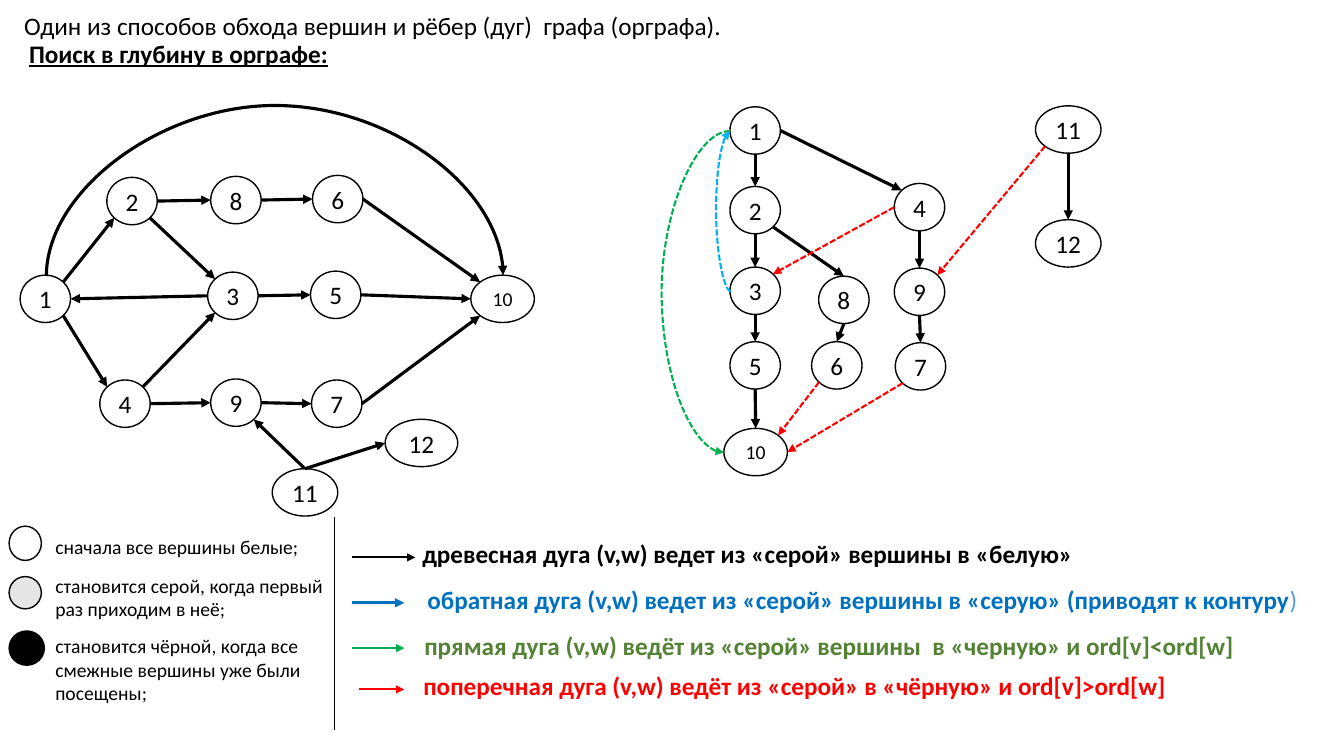
from math import cos, pi, sin

from lxml.etree import SubElement
from pptx import Presentation
from pptx.dml.color import RGBColor
from pptx.enum.dml import MSO_LINE
from pptx.enum.shapes import MSO_CONNECTOR, MSO_SHAPE
from pptx.enum.text import MSO_ANCHOR, MSO_AUTO_SIZE, PP_ALIGN
from pptx.oxml.ns import qn
from pptx.util import Inches, Pt

BLACK = RGBColor(0x00, 0x00, 0x00)
WHITE = RGBColor(0xFF, 0xFF, 0xFF)
GRAY = RGBColor(0xE7, 0xE6, 0xE6)
RED = RGBColor(0xFF, 0x00, 0x00)
GREEN = RGBColor(0x00, 0xB0, 0x50)
SKY = RGBColor(0x00, 0xB0, 0xF0)
BLUE = RGBColor(0x00, 0x70, 0xC0)
PALE_BLUE = RGBColor(0x5B, 0x9B, 0xD5)
OLIVE = RGBColor(0x54, 0x82, 0x35)

# Connection sites of an ellipse, counter-clockwise from the top
SITES = ["n", "nw", "w", "sw", "s", "se", "e", "ne"]
NODE_H = 0.47
NODE_W = {10: 0.63, 11: 0.65, 12: 0.65}

# Vertex number: (left, top) or (left, top, width)
GRAPH = {
    1: (0.2, 2.73), 2: (1.06, 1.76), 3: (2.06, 2.7), 4: (0.99, 3.77),
    5: (3.08, 2.69), 6: (3.1, 1.74), 7: (3.09, 3.77), 8: (2.09, 1.75),
    9: (2.09, 3.76), 10: (4.67, 2.73), 11: (2.7, 4.65), 12: (3.82, 4.16, 0.72),
}
FOREST = {
    1: (7.24, 1.06), 2: (7.24, 1.85), 3: (7.24, 2.65), 4: (8.87, 1.82),
    5: (7.24, 3.39), 6: (8.05, 3.39), 7: (8.88, 3.4), 8: (8.12, 2.74),
    9: (8.87, 2.66), 10: (7.18, 4.25), 11: (10.27, 1.05), 12: (10.27, 2.18),
}

# Arcs: from vertex, site, to vertex, site
GRAPH_ARCS = [
    (1, "ne", 2, "sw"), (1, "se", 4, "nw"), (2, "e", 8, "w"), (8, "e", 6, "w"),
    (2, "se", 3, "nw"), (3, "w", 1, "e"), (3, "e", 5, "w"), (4, "ne", 3, "sw"),
    (4, "e", 9, "w"), (9, "e", 7, "w"), (5, "e", 10, "w"), (6, "e", 10, "nw"),
    (7, "e", 10, "sw"), (11, "n", 9, "se"), (11, "n", 12, "w"),
]
TREE_ARCS = [
    (1, "s", 2, "n"), (2, "s", 3, "n"), (3, "s", 5, "n"), (5, "s", 10, "n"),
    (2, "se", 8, "n"), (8, "s", 6, "n"), (1, "e", 4, "nw"), (4, "s", 9, "n"),
    (9, "s", 7, "n"), (11, "s", 12, "n"),
]
CROSS_ARCS = [(6, "sw", 10, "ne"), (4, "w", 3, "ne"), (7, "sw", 10, "e"), (11, "sw", 9, "ne")]

# Arc legend: arrow (x1, x2, y, colour, width), text (left, top), runs
ARC_LEGEND = [
    ((3.49, 4.12, 5.53, BLACK, 1.5), (4.09, 5.29),
     [("древесная дуга (v,w) ведет из «серой» вершины в «белую»", BLACK, True)]),
    ((3.49, 4.01, 5.98, BLUE, 2.25), (4.14, 5.75),
     [("обратная дуга (v,w) ведет из «серой» вершины в «серую» (приводят к контуру", BLUE, True),
      (")", PALE_BLUE, False)]),
    ((3.49, 4.01, 6.43, GREEN, 1.5), (4.11, 6.2),
     [("прямая дуга (v,w) ведёт из «серой» вершины  в «черную» и ord[v]<ord[w]", OLIVE, True)]),
    ((3.56, 4.01, 6.84, RED, 1.5), (4.1, 6.6),
     [("поперечная дуга (v,w) ведёт из «серой» в «чёрную» и ord[v]>ord[w]", RED, True)]),
]

# Vertex colours: circle (top, width, height, fill), text (top, width, height, wrap), text
COLOUR_LEGEND = [
    ((5.22, 0.32, 0.34, WHITE), (5.26, 2.64, 0.34, False), "сначала все вершины белые;"),
    ((5.72, 0.32, 0.32, GRAY), (5.64, 3.1, 0.57, True),
     "становится серой, когда первый раз приходим в неё;"),
    ((6.26, 0.35, 0.34, BLACK), (6.24, 3.3, 0.81, True),
     "становится чёрной, когда все смежные вершины уже были посещены;"),
]


class SlideBuilder:
    """Holds the text style and the slide being drawn."""

    base = {"name": "Calibri", "size": Pt(18), "bold": False}

    def __init__(self, slide):
        self.slide = slide
        self.shapes = slide.shapes

    def run(self, p, text, color=BLACK, **fmt):
        r = p.add_run()
        r.text = text
        for key, value in {**self.base, **fmt}.items():
            setattr(r.font, key, value)
        r.font.color.rgb = color

    def title(self, text, left, top, width, height):
        sp = self.shapes.title
        box = {"left": left, "top": top, "width": width, "height": height}
        for key, value in box.items():
            setattr(sp, key, Inches(value))
        frame = {"word_wrap": False, "auto_size": MSO_AUTO_SIZE.NONE,
                 "vertical_anchor": MSO_ANCHOR.TOP}
        for key, value in frame.items():
            setattr(sp.text_frame, key, value)
        p = sp.text_frame.paragraphs[0]
        p.alignment = PP_ALIGN.LEFT
        self.run(p, text)

    def text(self, runs, left, top, width, height, wrap=False, **fmt):
        sp = self.shapes.add_textbox(*map(Inches, (left, top, width, height)))
        tf = sp.text_frame
        tf.word_wrap = wrap
        for text, color, bold in runs:
            self.run(tf.paragraphs[0], text, color, bold=bold, **fmt)

    def ellipse(self, left, top, width, height, fill=WHITE):
        sp = self.shapes.add_shape(MSO_SHAPE.OVAL, *map(Inches, (left, top, width, height)))
        sp.shadow.inherit = False
        sp.fill.solid()
        sp.fill.fore_color.rgb = fill
        sp.line.color.rgb = BLACK
        sp.line.width = Pt(1)
        return sp

    def node(self, number, left, top, width=None):
        sp = self.ellipse(left, top, width or NODE_W.get(number, 0.5), NODE_H)
        tf = sp.text_frame
        frame = {"word_wrap": False, "vertical_anchor": MSO_ANCHOR.MIDDLE, "margin_left": 0,
                 "margin_right": 0, "margin_top": 0, "margin_bottom": 0}
        for key, value in frame.items():
            setattr(tf, key, value)
        p = tf.paragraphs[0]
        p.alignment = PP_ALIGN.CENTER
        self.run(p, str(number), size=Pt(14 if number == 10 else 18))
        return sp

    def nodes(self, places):
        return {number: self.node(number, *place) for number, place in places.items()}

    def line(self, x1, y1, x2, y2, color=BLACK, width=2.25, dash=None, arrow=True,
             kind=MSO_CONNECTOR.STRAIGHT):
        cxn = self.shapes.add_connector(kind, *map(Inches, (x1, y1, x2, y2)))
        cxn.line.color.rgb = color
        cxn.line.width = Pt(width)
        if dash:
            cxn.line.dash_style = dash
        spPr = cxn._element.spPr
        if arrow:
            SubElement(spPr.find(qn("a:ln")), qn("a:tailEnd"), type="triangle")
        SubElement(spPr, qn("a:effectLst"))
        return cxn

    def glue(self, cxn, start, start_site, end, end_site):
        props = cxn._element.find(qn("p:nvCxnSpPr")).find(qn("p:cNvCxnSpPr"))
        for tag, sp, site in (("a:stCxn", start, start_site), ("a:endCxn", end, end_site)):
            SubElement(props, qn(tag), id=str(sp.shape_id), idx=str(SITES.index(site)))

    def arcs(self, nodes, arcs, **style):
        def point(sp, site):
            angle = pi / 2 + SITES.index(site) * pi / 4
            return ((sp.left + sp.width / 2 * (1 + cos(angle))) / Inches(1),
                    (sp.top + sp.height / 2 * (1 - sin(angle))) / Inches(1))

        for v, v_site, w, w_site in arcs:
            cxn = self.line(*point(nodes[v], v_site), *point(nodes[w], w_site), **style)
            self.glue(cxn, nodes[v], v_site, nodes[w], w_site)

    def curve(self, nodes, arc, box, bulge, turn, flips="", **style):
        """Box is the unturned frame; bulge is how far the curve swings out."""
        left, top, width, height = box
        cxn = self.line(left, top, left + width, top + height, kind=MSO_CONNECTOR.CURVE, **style)
        xfrm = cxn._element.spPr.find(qn("a:xfrm"))
        xfrm.set("rot", str(turn * 60000))
        for flip in flips:
            xfrm.set("flip" + flip, "1")
        guides = cxn._element.spPr.find(qn("a:prstGeom")).find(qn("a:avLst"))
        SubElement(guides, qn("a:gd"), name="adj1", fmla=f"val {round(bulge / width * 100000)}")
        v, v_site, w, w_site = arc
        self.glue(cxn, nodes[v], v_site, nodes[w], w_site)


def main():
    prs = Presentation()
    prs.slide_width, prs.slide_height = Inches(13.33), Inches(7.5)
    s = SlideBuilder(prs.slides.add_slide(prs.slide_layouts[5]))

    # Headings
    s.title("Один из способов обхода вершин и рёбер (дуг)  графа (орграфа).", 0.14, 0.05, 7.14, 0.4)
    s.text([("Поиск в глубину в орграфе:", BLACK, True)], 0.19, 0.33, 3.2, 0.4, underline=True)

    # Directed graph
    graph = s.nodes(GRAPH)
    s.arcs(graph, GRAPH_ARCS)
    s.curve(graph, (1, "n", 10, "n"), (2.72, 0.47, 0.01, 4.53), 1.72, 90, "HV")

    # Depth-first forest
    forest = s.nodes(FOREST)
    dashed = {"width": 1.5, "dash": MSO_LINE.SQUARE_DOT}
    s.arcs(forest, TREE_ARCS)
    s.curve(forest, (1, "w", 10, "w"), (7.18, 1.3, 0.06, 3.19), 0.68, 180, "V",
            color=GREEN, **dashed)
    s.curve(forest, (3, "w", 1, "w"), (7.24, 1.3, 0.01, 1.59), 0.15, 180, color=SKY, **dashed)
    s.arcs(forest, CROSS_ARCS, color=RED, **dashed)

    # Legend of arcs
    for (x1, x2, y, color, width), (left, top), runs in ARC_LEGEND:
        s.line(x1, y, x2, y, color, width)
        s.text(runs, left, top, 8.9, 0.4)

    # Legend of vertex colours
    for (top, width, height, fill), (text_top, text_w, text_h, wrap), text in COLOUR_LEGEND:
        s.ellipse(0.09, top, width, height, fill)
        s.text([(text, BLACK, False)], 0.45, text_top, text_w, text_h, wrap, size=Pt(14))
    s.line(3.32, 5.13, 3.32, 7.24, width=0.5, arrow=False)

    prs.save("out.pptx")


if __name__ == "__main__":
    main()
